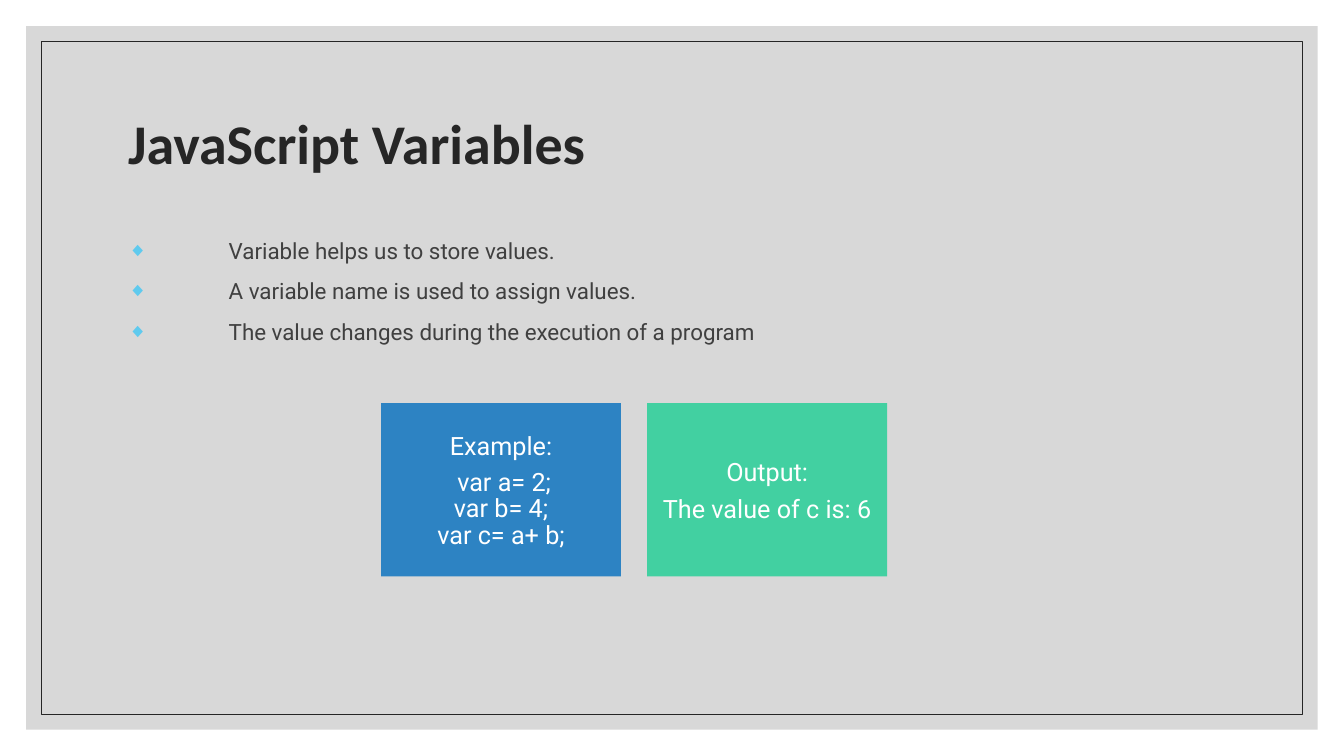
from lxml.etree import SubElement
from pptx import Presentation
from pptx.dml.color import RGBColor
from pptx.enum.shapes import MSO_SHAPE
from pptx.enum.text import MSO_ANCHOR, PP_ALIGN
from pptx.oxml.ns import qn
from pptx.util import Inches, Pt

WIDTH, HEIGHT = Inches(13.33), Inches(7.5)
COLORS = {
    "panel": "BFBFBF", "ink": "262626", "text": "404040", "mark": "5FCAEE",
    "code": "2D83C3", "result": "42D0A1", "white": "FFFFFF",
}
POINTS = [
    "Variable helps us to store values.",
    "A variable name is used to assign values.",
    "The value changes during the execution of a program",
]
CODE = ["Example:", " var a= 2;", "var b= 4;", "var c= a+ b;"]
RESULT = ["Output:", "The value of c is: 6"]


def color(name):
    return RGBColor.from_string(COLORS[name])


def place(left, top, width, height):
    """Turn percentages of the slide into lengths."""
    return [int(side * share / 100) for side, share in
            zip((WIDTH, HEIGHT, WIDTH, HEIGHT), (left, top, width, height))]


def write(frame, lines, size, font, ink, align):
    frame.text = "\n".join(lines)
    frame.word_wrap = True
    for para in frame.paragraphs:
        para.alignment = align
        for run in para.runs:
            run.font.size = Pt(size)
            run.font.name = font
            run.font.color.rgb = color(ink)


def add_box(slide, area, fill=None):
    box = slide.shapes.add_shape(MSO_SHAPE.RECTANGLE, *place(*area))
    box.shadow.inherit = False
    box.line.fill.background()
    if fill:
        box.fill.solid()
        box.fill.fore_color.rgb = color(fill)
    else:
        box.fill.background()
    return box


def add_frame(slide):
    """Add the pale panel and the thin outline inside it."""
    panel, rim = [
        add_box(slide, (x, y, 100 - 2 * x, 100 - 2 * y), fill)
        for x, y, fill in ((1.95, 3.47, "panel"), (3.08, 5.47, None))
    ]
    tint = panel.fill._xPr.find(qn("a:solidFill"))[0]
    SubElement(tint, qn("a:alpha"), val="60000")
    rim.line.color.rgb = color("ink")
    rim.line.width = Pt(0.5)


def add_title(slide, text):
    title = slide.shapes.title
    slide.shapes._spTree.append(title._element)  # in front of the panel
    title.left, title.top, title.width, title.height = place(
        8.78, 9.33, 82.52, 20)
    frame = title.text_frame
    write(frame, [text], 40, "Calibri", "ink", PP_ALIGN.LEFT)
    frame.vertical_anchor = MSO_ANCHOR.MIDDLE
    frame.paragraphs[0].line_spacing = 0.9
    frame.paragraphs[0].runs[0].font.bold = True


def add_bullet(para):
    props = para._p.get_or_add_pPr()
    props.set("marL", str(Inches(1)))
    props.set("indent", str(-Inches(1)))
    tint = SubElement(props, qn("a:buClr"))
    SubElement(tint, qn("a:srgbClr"), val=COLORS["mark"])
    SubElement(props, qn("a:buSzPct"), val="87500")
    SubElement(props, qn("a:buFont"), typeface="Arial")
    SubElement(props, qn("a:buChar"), char="◆")


def add_points(slide, lines):
    box = slide.shapes.add_textbox(*place(8.78, 30.67, 82.52, 56.13))
    frame = box.text_frame
    write(frame, lines, 16, "Roboto", "text", PP_ALIGN.LEFT)
    for order, para in enumerate(frame.paragraphs):
        add_bullet(para)
        if order:
            para.space_before = Pt(9.9)


def add_card(slide, column, fill, lines, gap, pitch=None):
    """Add a card with a heading; gap and pitch space the lines below it."""
    box = add_box(slide, (28.36 + 19.8 * column, 53.33, 17.85, 22.93), fill)
    frame = box.text_frame
    frame.margin_left = frame.margin_right = 0
    frame.margin_top = frame.margin_bottom = 0
    frame.vertical_anchor = MSO_ANCHOR.MIDDLE
    write(frame, lines, 18, "Roboto", "white", PP_ALIGN.CENTER)
    body = frame.paragraphs[1:]
    body[0].space_before = Pt(gap)
    if pitch:
        for para in body:
            para.line_spacing = Pt(pitch)


def main():
    deck = Presentation()
    deck.slide_width, deck.slide_height = WIDTH, HEIGHT
    slide = deck.slides.add_slide(deck.slide_layouts[5])
    add_frame(slide)
    add_title(slide, "JavaScript Variables")
    add_points(slide, POINTS)
    add_card(slide, 0, "code", CODE, 7, 18.8)
    add_card(slide, 1, "result", RESULT, 5)
    deck.save("out.pptx")


if __name__ == "__main__":
    main()
